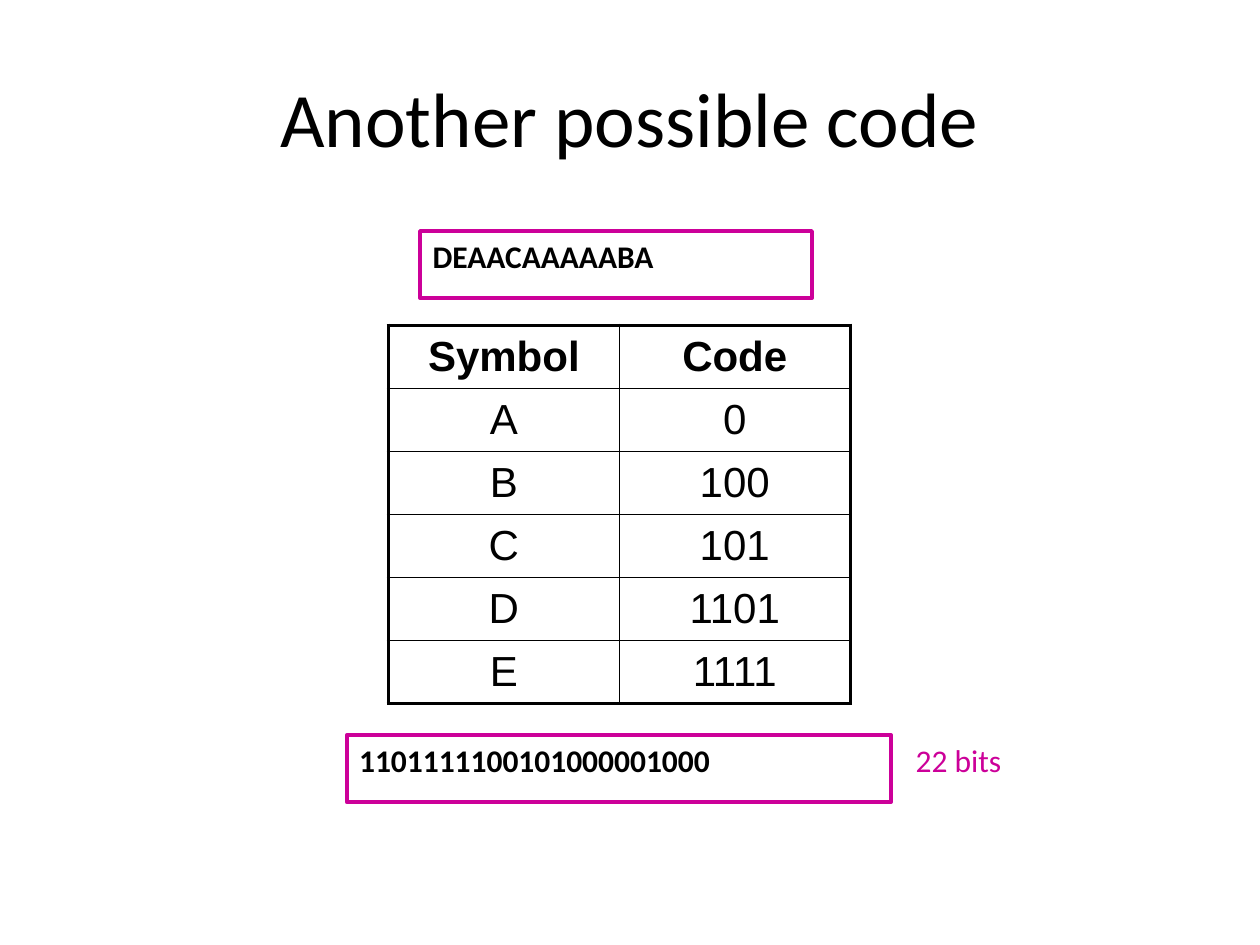
from lxml import etree
from pptx import Presentation
from pptx.dml.color import RGBColor
from pptx.enum.shapes import MSO_SHAPE
from pptx.enum.text import MSO_ANCHOR, PP_ALIGN
from pptx.oxml.ns import qn
from pptx.util import Cm, Pt

BLACK = RGBColor(0x00, 0x00, 0x00)
PINK = RGBColor(0xCC, 0x00, 0x99)
RECT = MSO_SHAPE.RECTANGLE
TOP, MIDDLE = MSO_ANCHOR.TOP, MSO_ANCHOR.MIDDLE
LEFT, CENTER = PP_ALIGN.LEFT, PP_ALIGN.CENTER
THIN, THICK = Pt(1), Pt(2.25)

ROWS = [
    ("Symbol", "Code"),
    ("A", "0"),
    ("B", "100"),
    ("C", "101"),
    ("D", "1101"),
    ("E", "1111"),
]


def write(frame, text, size, font="Calibri", color=BLACK, bold=False, align=LEFT):
    frame.text = text
    line = frame.paragraphs[0]
    line.alignment = align
    style = line.runs[0].font
    style.name, style.size, style.bold = font, Pt(size), bold
    style.color.rgb = color


def add_label(slide, box, text, size, anchor=TOP, **style):
    frame = slide.shapes.add_textbox(*box).text_frame
    frame.word_wrap = True
    frame.vertical_anchor = anchor
    write(frame, text, size, **style)


def add_frame(slide, box, text):
    shape = slide.shapes.add_shape(RECT, *box)
    shape.shadow.inherit = False
    shape.fill.background()
    shape.line.color.rgb = PINK
    shape.line.width = THICK
    shape.text_frame.word_wrap = True
    shape.text_frame.vertical_anchor = TOP
    write(shape.text_frame, text, 18, bold=True)


def set_edges(cell, edges):
    """Draw the cell borders from (side, is outer) pairs in schema order."""
    props = cell._tc.get_or_add_tcPr()
    for side, outer in edges:
        width = THICK if outer else THIN
        line = etree.SubElement(props, qn(f"a:ln{side}"), w=str(width))
        fill = etree.SubElement(line, qn("a:solidFill"))
        etree.SubElement(fill, qn("a:srgbClr"), val=str(BLACK))


def add_codes(slide, box):
    count, span = len(ROWS), len(ROWS[0])
    table = slide.shapes.add_table(count, span, *box).table
    for r, row in enumerate(ROWS):
        for c, text in enumerate(row):
            cell = table.cell(r, c)
            cell.vertical_anchor = MIDDLE
            set_edges(cell, [("L", c == 0), ("R", c == span - 1),
                             ("T", r == 0), ("B", r == count - 1)])
            cell.fill.background()
            write(cell.text_frame, text, 24, font="Arial",
                  bold=r == 0, align=CENTER)


def add_result(slide, box):
    """Place the encoded bits with their length to the right."""
    left, top, width, height = box
    add_frame(slide, box, "1101111100101000001000")
    side = (left + width + Cm(0.25), top, Cm(3), height)
    add_label(slide, side, "22 bits", 18, color=PINK)


def main():
    deck = Presentation()
    deck.slide_width, deck.slide_height = Cm(25.4), Cm(19.05)
    slide = deck.slides.add_slide(deck.slide_layouts[6])
    add_label(slide, (Cm(1.27), Cm(0.76), Cm(22.86), Cm(3.18)),
              "Another possible code", 44, anchor=MIDDLE, align=CENTER)
    add_codes(slide, (Cm(7.83), Cm(6.56), Cm(9.31), Cm(7.42)))
    add_frame(slide, (Cm(8.47), Cm(4.66), Cm(7.9), Cm(1.35)), "DEAACAAAAABA")
    add_result(slide, (Cm(6.99), Cm(14.82), Cm(10.97), Cm(1.35)))
    deck.save("out.pptx")


if __name__ == "__main__":
    main()
